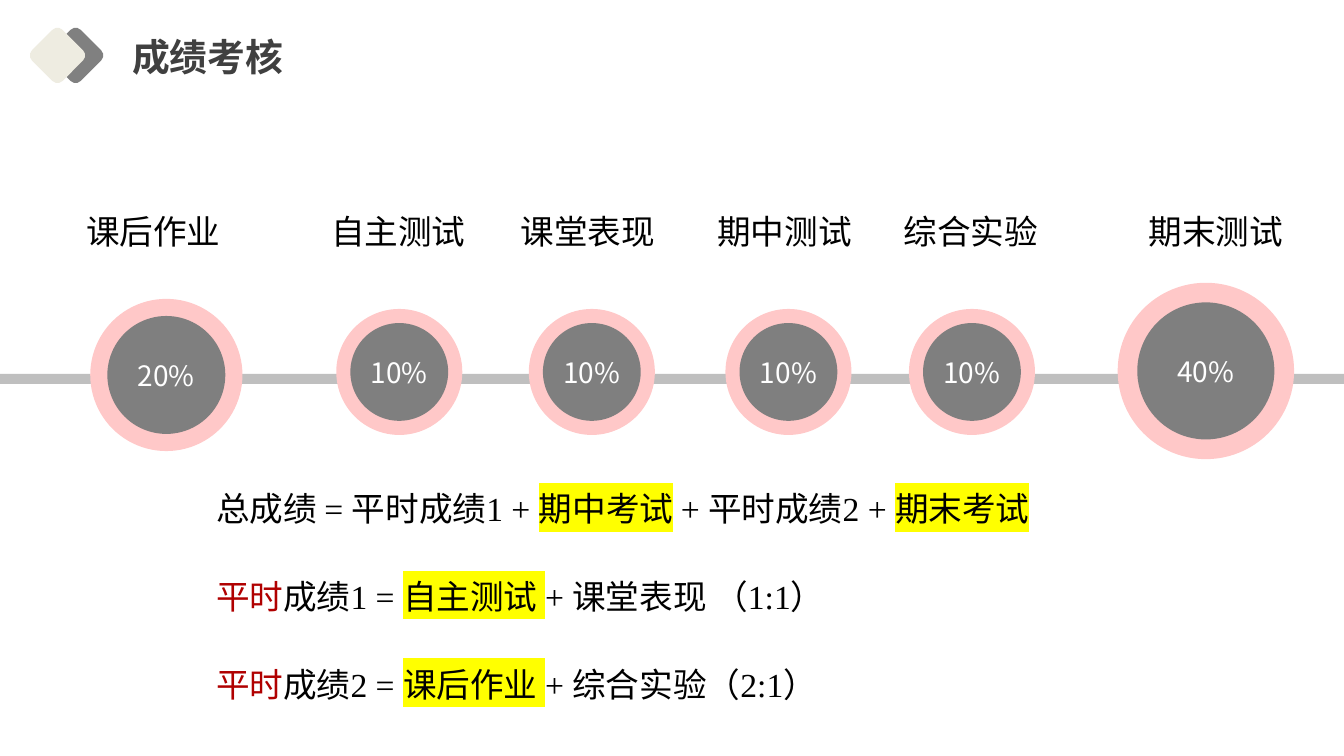
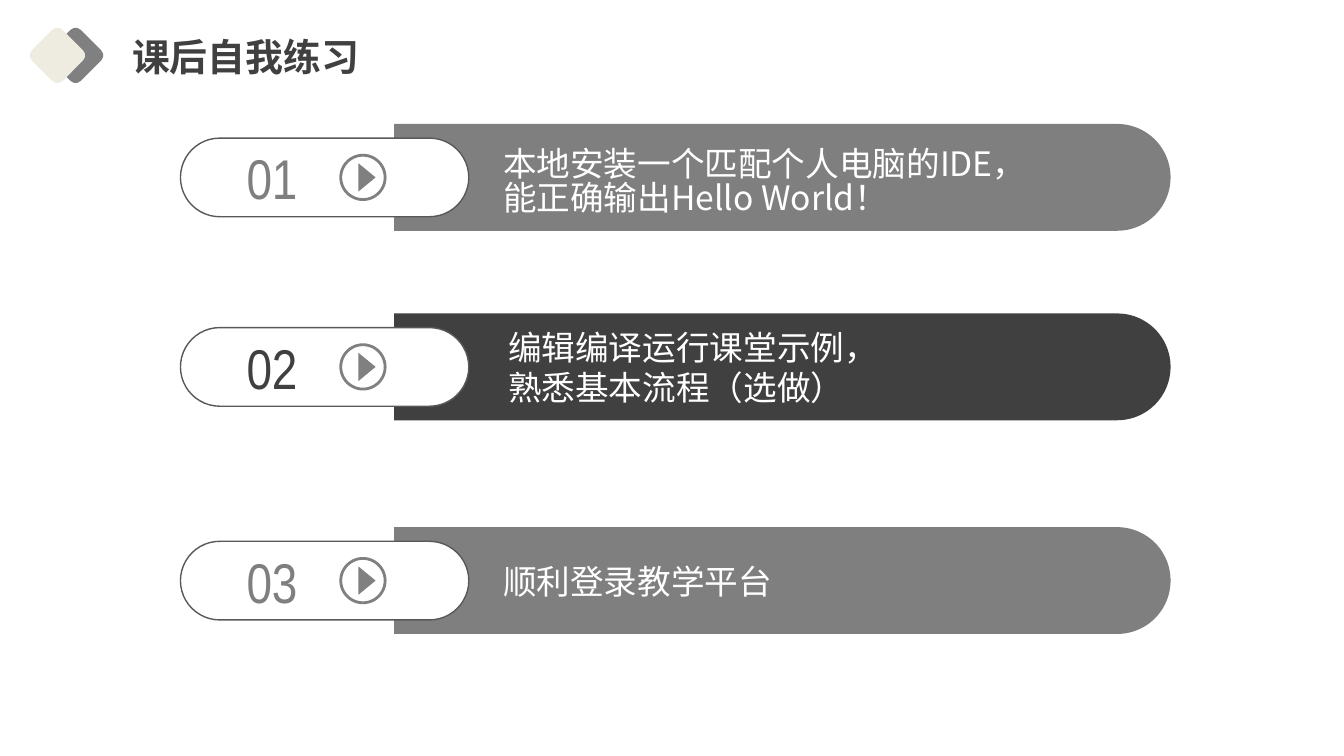
"""Build two course slides: grade weights and exercises after class."""
from lxml.etree import SubElement
from pptx import Presentation
from pptx.dml.color import RGBColor
from pptx.enum.shapes import MSO_SHAPE
from pptx.enum.text import MSO_ANCHOR, MSO_AUTO_SIZE, PP_ALIGN
from pptx.oxml.ns import qn
from pptx.util import Inches, Pt

HUES = {
    "gray": "7F7F7F", "icon": "808080", "cream": "EEECE1", "dark": "404040",
    "rail": "BFBFBF", "pink": "FFC8C8", "white": "FFFFFF", "black": "000000",
    "red": "B00000", "mark": "FFFF00", "edge": "595959",
}
SANS = "Noto Sans CJK SC"


def add_block(slide, kind, mid_x, mid_y, wide, high, fill=None, turn=0):
    """Add a shape, or a text box when kind is None, around a center."""
    area = [Inches(v) for v in (mid_x - wide / 2, mid_y - high / 2, wide, high)]
    if kind is None:
        block = slide.shapes.add_textbox(*area)
    else:
        block = slide.shapes.add_shape(kind, *area)
        block.shadow.inherit = False
        block.line.fill.background()
        block.rotation = turn
        if fill:
            block.fill.solid()
            block.fill.fore_color.rgb = RGBColor.from_string(HUES[fill])
        else:
            block.fill.background()
    frame = block.text_frame
    frame.word_wrap = True
    frame.vertical_anchor = MSO_ANCHOR.MIDDLE
    return block


def style_run(run, size, hue, face=SANS, mark=False):
    """Set size, colour, highlight and fonts of a run."""
    run.font.size = Pt(size)
    run.font.color.rgb = RGBColor.from_string(HUES[hue])
    props = run.font.fill._xPr
    if mark:
        glow = SubElement(props, qn("a:highlight"))
        SubElement(glow, qn("a:srgbClr")).set("val", HUES["mark"])
    run.font.name = face
    SubElement(props, qn("a:ea")).set("typeface", SANS)


deck = Presentation()
deck.slide_width, deck.slide_height = Inches(13.33), Inches(7.5)

slides = []
for head in ("成绩考核", "课后自我练习"):
    slide = deck.slides.add_slide(deck.slide_layouts[5])
    for mid_x, fill in ((0.75, "icon"), (0.57, "cream")):
        add_block(slide, MSO_SHAPE.ROUNDED_RECTANGLE, mid_x, 0.55, 0.43, 0.43, fill, 45)
    title = slide.shapes.title
    title.left, title.top = Inches(1.21), Inches(0.34)
    title.width, title.height = Inches(5.46), Inches(0.43)
    frame = title.text_frame
    frame.text = head
    frame.auto_size = MSO_AUTO_SIZE.NONE
    frame.vertical_anchor = MSO_ANCHOR.MIDDLE
    frame.paragraphs[0].alignment = PP_ALIGN.LEFT
    style_run(frame.paragraphs[0].runs[0], 27, "dark")
    frame.paragraphs[0].runs[0].font.bold = True
    slides.append(slide)

grades, tasks = slides

add_block(grades, MSO_SHAPE.RECTANGLE, 6.67, 3.76, 13.34, 0.1, "rail")
parts = [
    ("课后作业", "20%", 1.52, 1.65, 3.72, 1.51, 1.17),
    ("自主测试", "10%", 3.95, 3.96, 3.69, 1.25, 0.97),
    ("课堂表现", "10%", 5.83, 5.87, 3.69, 1.25, 0.97),
    ("期中测试", "10%", 7.78, 7.82, 3.69, 1.25, 0.97),
    ("综合实验", "10%", 9.63, 9.64, 3.69, 1.25, 0.97),
    ("期末测试", "40%", 12.06, 11.96, 3.68, 1.75, 1.36),
]
for name, share, name_x, mid_x, mid_y, outer, inner in parts:
    add_block(grades, MSO_SHAPE.OVAL, mid_x, mid_y, outer, outer, "pink")
    disc = add_block(grades, MSO_SHAPE.OVAL, mid_x, mid_y, inner, inner, "gray")
    label = add_block(grades, None, name_x, 2.29, 1.95, 0.53)
    for block, text, size, hue in ((disc, share, 20, "white"), (label, name, 24, "black")):
        frame = block.text_frame
        frame.margin_left = frame.margin_right = 0
        frame.text = text
        frame.paragraphs[0].alignment = PP_ALIGN.CENTER
        style_run(frame.paragraphs[0].runs[0], size, hue)

sums = [
    [("总成绩 = 平时成绩1 + ", "black", False), ("期中考试", "black", True),
     (" + 平时成绩2 + ", "black", False), ("期末考试", "black", True)],
    [("平时", "red", False), ("成绩1 = ", "black", False),
     ("自主测试 ", "black", True), ("+ 课堂表现 （1:1）", "black", False)],
    [("平时", "red", False), ("成绩2 = ", "black", False),
     ("课后作业 ", "black", True), ("+ 综合实验（2:1）", "black", False)],
]
frame = add_block(grades, None, 6.5, 6.02, 8.91, 2.61).text_frame
frame.vertical_anchor = MSO_ANCHOR.TOP
for rank, pieces in enumerate(sums):
    para = frame.add_paragraph() if rank else frame.paragraphs[0]
    para.alignment = PP_ALIGN.JUSTIFY
    para.line_spacing = 1.2
    if rank:
        para.space_before = Pt(28)
    for text, hue, mark in pieces:
        run = para.add_run()
        run.text = text
        style_run(run, 24, hue, "Times New Roman", mark)

rows = [
    ("01", 1.76, "gray", "本地安装一个匹配个人电脑的IDE，\n能正确输出Hello World！", 4.87, 1.82, Pt(24)),
    ("02", 3.64, "dark", "编辑编译运行课堂示例，\n熟悉基本流程（选做）", 4.92, 3.64, Pt(28.8)),
    ("03", 5.76, "gray", "顺利登录教学平台", 4.87, 5.76, 1.0),
]
for mark, mid_y, hue, text, left, text_y, pitch in rows:
    bar = add_block(tasks, MSO_SHAPE.ROUND_2_SAME_RECTANGLE, 7.76, mid_y, 1.06, 7.7, hue, 90)
    bar.adjustments[0], bar.adjustments[1] = 0.5, 0
    pill = add_block(tasks, MSO_SHAPE.ROUNDED_RECTANGLE, 3.22, mid_y, 2.86, 0.78, "white")
    pill.adjustments[0] = 0.5
    ring = add_block(tasks, MSO_SHAPE.OVAL, 3.6, mid_y, 0.44, 0.44)
    for block, edge, thick in ((pill, "edge", 1), (ring, "icon", 2)):
        block.line.color.rgb = RGBColor.from_string(HUES[edge])
        block.line.width = Pt(thick)
    add_block(tasks, MSO_SHAPE.ISOSCELES_TRIANGLE, 3.64, mid_y, 0.28, 0.17, "icon", 90)

    count = add_block(tasks, None, 2.78, mid_y, 0.91, 0.79)
    note = add_block(tasks, None, left + 3.1, text_y, 6.2, 0.93)
    for block, words, size, tint, face in (
        (count, mark, 40, hue, "Arial Narrow"),
        (note, text, 24, "white", SANS),
    ):
        frame = block.text_frame
        frame.margin_left = frame.margin_right = Inches(0.12)
        frame.margin_top = frame.margin_bottom = Inches(0.06)
        frame.text = words
        for para in frame.paragraphs:
            style_run(para.runs[0], size, tint, face)
    for para in note.text_frame.paragraphs:
        para.alignment = PP_ALIGN.JUSTIFY
        para.line_spacing = pitch

deck.save("out.pptx")
